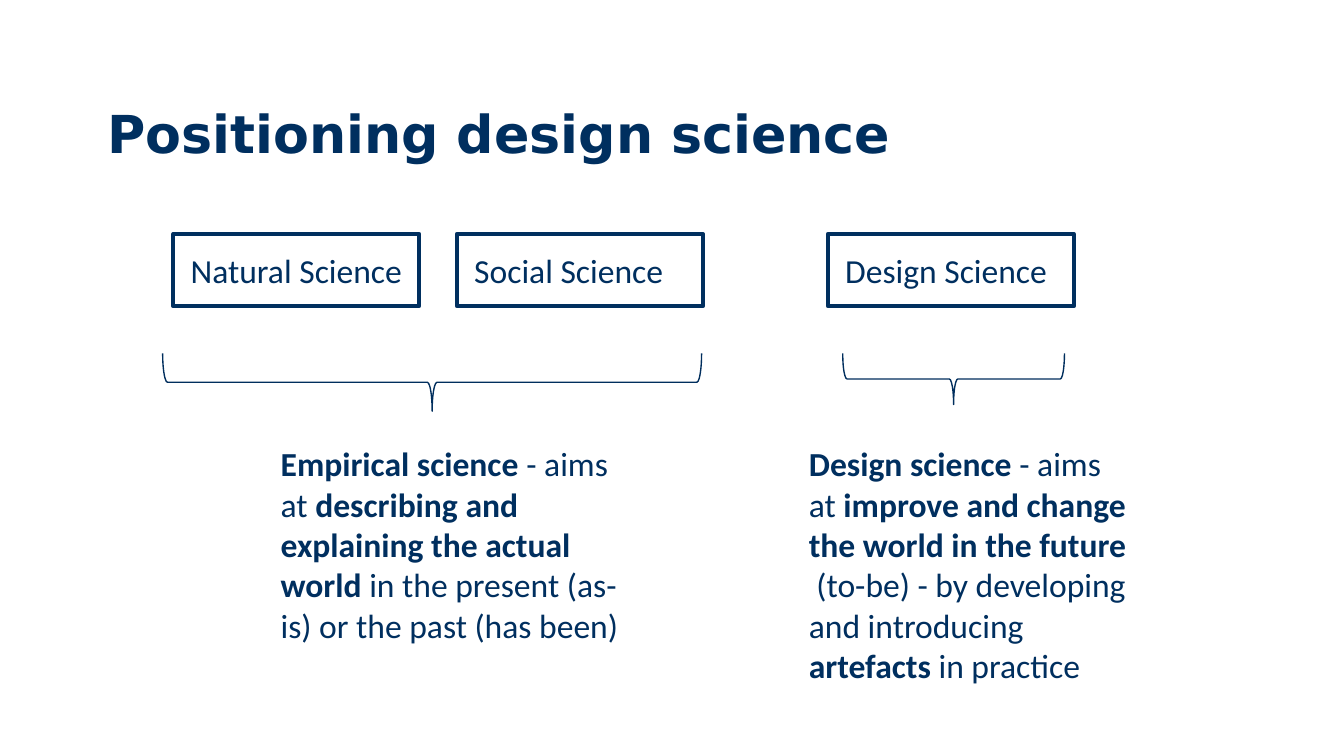
from pptx import Presentation
from pptx.dml.color import RGBColor
from pptx.enum.shapes import MSO_SHAPE
from pptx.enum.text import MSO_ANCHOR, MSO_AUTO_SIZE, PP_ALIGN
from pptx.util import Inches, Pt

RECT = MSO_SHAPE.RECTANGLE
BRACE = MSO_SHAPE.RIGHT_BRACE
TOP = MSO_ANCHOR.TOP
LEFT = PP_ALIGN.LEFT
GROW = MSO_AUTO_SIZE.SHAPE_TO_FIT_TEXT
NO_FIT = MSO_AUTO_SIZE.NONE
NAVY, BRACE_BLUE, WHITE = "002F5F", "002E5D", "FFFFFF"


def color(hex_code):
    return RGBColor.from_string(hex_code)


def set_font(font, name, size, bold=None):
    font.name, font.size, font.bold = name, Pt(size), bold
    font.color.rgb = color(NAVY)


def add_title(s, text, x, y, w, h):
    sp = s.shapes.title
    sp.left, sp.top, sp.width, sp.height = map(Inches, (x, y, w, h))
    tf = sp.text_frame
    tf.text = text
    tf.vertical_anchor = TOP
    tf.auto_size = NO_FIT
    p = tf.paragraphs[0]
    p.alignment = LEFT
    set_font(p.font, "DejaVu Sans", 28, True)


def add_text_box(s, x, y, w, h, wrap):
    tf = s.shapes.add_textbox(*map(Inches, (x, y, w, h))).text_frame
    tf.word_wrap = wrap
    tf.auto_size = GROW
    return tf.paragraphs[0]


def add_science_box(s, text, x, y, w, h, label_w):
    # Outlined frame
    sp = s.shapes.add_shape(RECT, *map(Inches, (x, y, w, h)))
    sp.shadow.inherit = False
    sp.fill.solid()
    sp.fill.fore_color.rgb = color(WHITE)
    sp.line.color.rgb = color(NAVY)
    sp.line.width = Pt(2)
    # Label
    p = add_text_box(s, x + 0.03, y + 0.07, label_w, 0.4, wrap=False)
    p.text = text
    set_font(p.font, "Calibri", 18)


def add_brace_below(s, x, y, w, h):
    """Brace pointing down that covers the box x, y, w, h once turned."""
    left, top = x + (w - h) / 2, y + (h - w) / 2
    sp = s.shapes.add_shape(BRACE, *map(Inches, (left, top, h, w)))
    sp.rotation = 90
    sp.shadow.inherit = False
    sp.fill.background()
    sp.line.color.rgb = color(BRACE_BLUE)
    sp.line.width = Pt(0.75)


def add_description(s, parts, x, y, w, h, indent):
    """Parts alternate between bold and regular, starting with bold."""
    p = add_text_box(s, x, y, w, h, wrap=True)
    p.level = 1
    pPr = p._p.get_or_add_pPr()
    pPr.set("marL", str(Inches(indent)))
    pPr.set("indent", "0")
    for i, text in enumerate(parts):
        r = p.add_run()
        r.text = text
        set_font(r.font, "Calibri", 18, i % 2 == 0)


def main():
    prs = Presentation()
    # 16:9 page
    prs.slide_width = Inches(10)
    prs.slide_height = prs.slide_width * 9 // 16
    s = prs.slides.add_slide(prs.slide_layouts[5])

    add_title(s, "Positioning design science", 0.7, 0.7, 9.04, 1.09)

    # Kinds of science
    for text, x, label_w in (("Natural Science", 1.29, 1.79),
                             ("Social Science", 3.4, 1.68),
                             ("Design Science", 6.16, 1.72)):
        add_science_box(s, text, x, 1.74, 1.83, 0.54, label_w)

    # Braces grouping them
    add_brace_below(s, 1.21, 2.63, 4.01, 0.43)
    add_brace_below(s, 6.27, 2.63, 1.65, 0.38)

    # Aims of each group
    add_description(s, ("Empirical science ", "- aims at ",
                        "describing and explaining the actual world ",
                        "in the present (as-is) or the past (has been)"),
                    1.99, 3.25, 2.73, 2.22, indent=0)
    add_description(s, ("Design science ", "- aims at ",
                        "improve and change the world in the future  ",
                        "(to-be) - by developing and introducing ",
                        "artefacts ", "in practice"),
                    5.42, 3.25, 3.1, 2.22, indent=0.5)

    prs.save("out.pptx")


if __name__ == "__main__":
    main()
